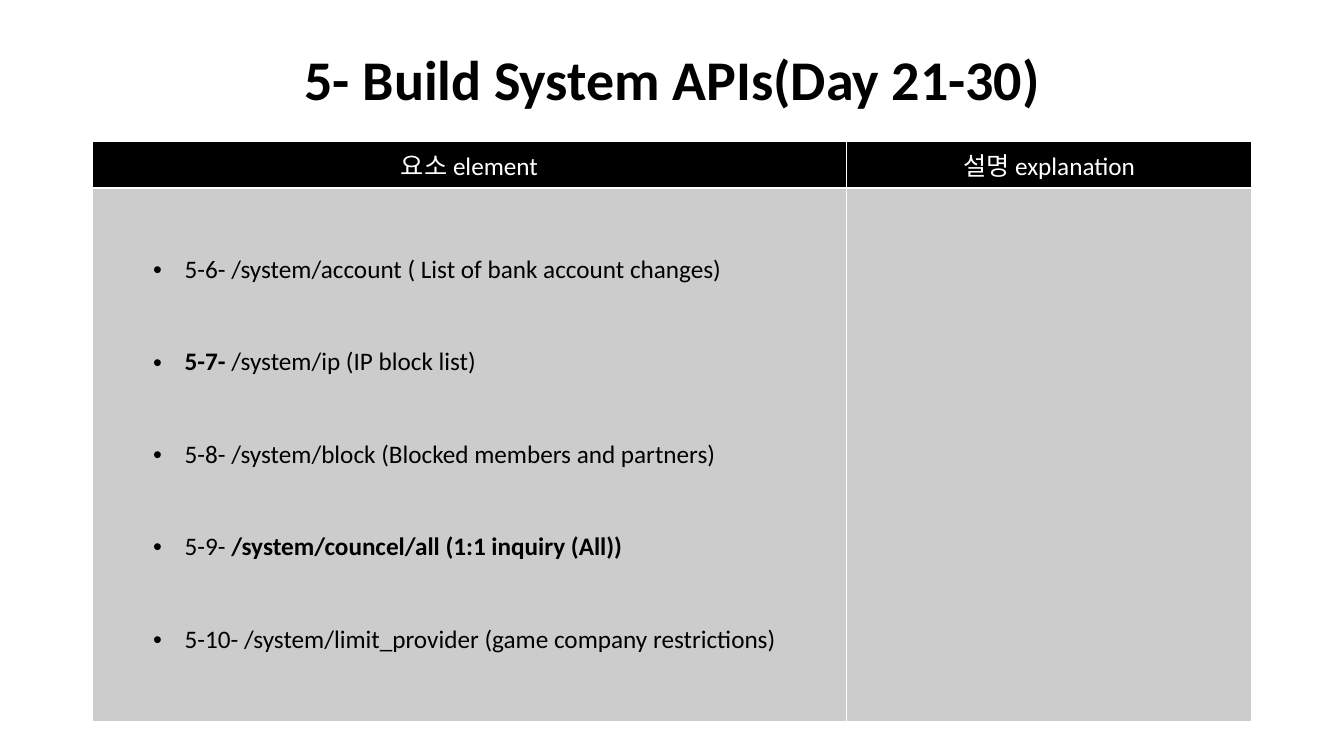
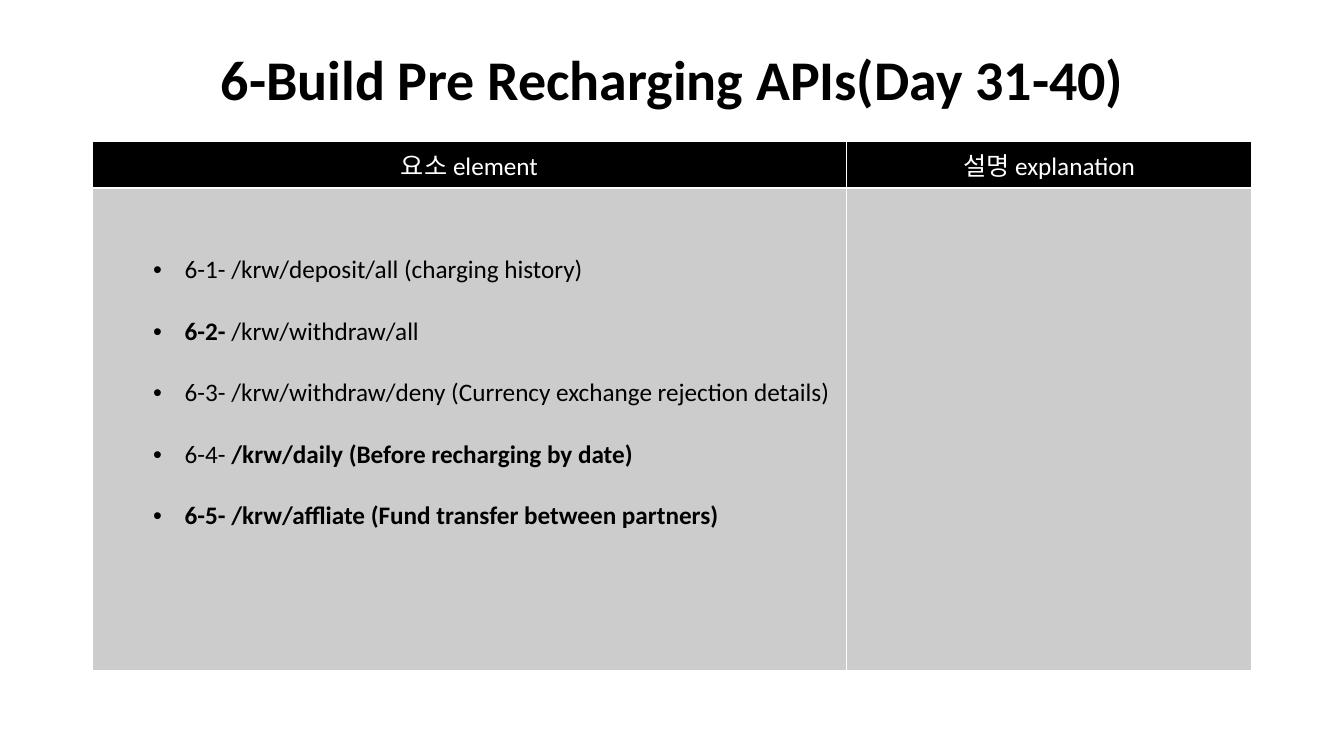
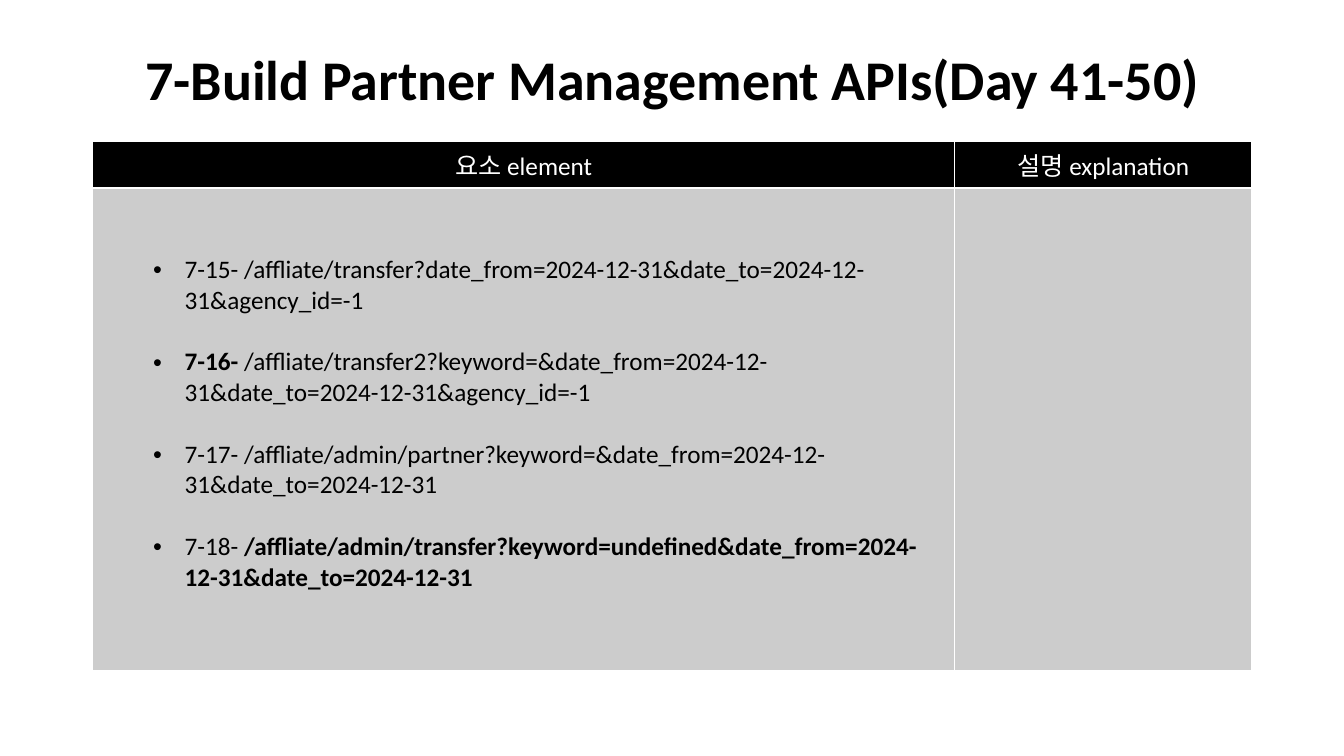
from lxml import etree
from pptx import Presentation
from pptx import util as u
from pptx.dml.color import RGBColor
from pptx.enum import text
from pptx.oxml import ns

BLACK = RGBColor(0x00, 0x00, 0x00)
WHITE = RGBColor(0xFF, 0xFF, 0xFF)
GREY = RGBColor(0xCC, 0xCC, 0xCC)
TITLE = {"name": "Calibri", "size": u.Pt(40), "bold": True}
BODY = {"name": "Calibri", "size": u.Pt(18), "bold": False}
STRONG = {**BODY, "bold": True}
TITLE_BOX = (66.25, 37, 828, 44)
TABLE_BOX = (66.25, 100.8, 828)
HEADS = ("요소 element", "설명 explanation")
HEAD_H = 33.5
LINE = 22

SLIDES = [
    {"title": "5- Build System APIs(Day 21-30)", "split": 0.65, "body_h": 381, "gap": 2 * LINE,
     "items": [
         [("5-6- /system/account ( List of bank account changes)", BODY)],
         [("5-7- ", STRONG), ("/system/ip (IP block list)", BODY)],
         [("5-8- /system/block (Blocked members and partners)", BODY)],
         [("5-9- ", BODY), ("/system/councel/all (1:1 inquiry (All))", STRONG)],
         [("5-10- /system/limit_provider (game company restrictions)", BODY)]]},
    {"title": "6-Build Pre Recharging APIs(Day 31-40)", "split": 0.65, "body_h": 344.5, "gap": LINE,
     "items": [
         [("6-1- /krw/deposit/all (charging history)", BODY)],
         [("6-2-", STRONG), (" /krw/withdraw/all", BODY)],
         [("6-3- /krw/withdraw/deny (Currency exchange rejection details)", BODY)],
         [("6-4- ", BODY), ("/krw/daily (Before recharging by date)", STRONG)],
         [("6-5- /krw/affliate (Fund transfer between partners)", STRONG)]]},
    {"title": "7-Build Partner Management APIs(Day 41-50)", "split": 0.7435, "body_h": 344.5, "gap": LINE,
     "items": [
         [("7-15- /affliate/transfer?date_from=2024-12-31&date_to=2024-12-31&agency_id=-1", BODY)],
         [("7-16-", STRONG),
          (" /affliate/transfer2?keyword=&date_from=2024-12-31&date_to=2024-12-31&agency_id=-1", BODY)],
         [("7-17- /affliate/admin/partner?keyword=&date_from=2024-12-31&date_to=2024-12-31", BODY)],
         [("7-18- ", BODY),
          ("/affliate/admin/transfer?keyword=undefined&date_from=2024-12-31&date_to=2024-12-31", STRONG)]]},
]


def set_all(obj, values):
    """Set every attribute in a dict of values."""
    for name, value in values.items():
        setattr(obj, name, value)


def add_run(p, words, fmt, color):
    """Add one formatted run to a paragraph."""
    r = p.add_run()
    r.text = words
    set_all(r.font, fmt)
    r.font.color.rgb = color


def add_bullet(p):
    """Give a paragraph a hanging round bullet."""
    pPr = p._p.get_or_add_pPr()
    pPr.set("marL", str(u.Pt(58.5)))
    pPr.set("indent", str(-u.Pt(22.5)))
    etree.SubElement(pPr, ns.qn("a:buFont"), typeface="Arial")
    etree.SubElement(pPr, ns.qn("a:buChar"), char="•")


def style_cell(cell, color):
    """Fill a cell and draw thin white borders round it."""
    cell.fill.solid()
    cell.fill.fore_color.rgb = color
    tcPr = cell._tc.get_or_add_tcPr()
    for i, side in enumerate(("lnL", "lnR", "lnT", "lnB")):
        ln = etree.Element(ns.qn("a:" + side), w=str(u.Pt(1)))
        fill = etree.SubElement(ln, ns.qn("a:solidFill"))
        etree.SubElement(fill, ns.qn("a:srgbClr"), val=str(WHITE))
        tcPr.insert(i, ln)


def add_title(s, box, words):
    """Place the centred slide title in its box."""
    tf = s.shapes.add_textbox(*map(u.Pt, box)).text_frame
    set_all(tf, {"word_wrap": True, "vertical_anchor": text.MSO_ANCHOR.TOP,
                 "margin_top": 0, "margin_bottom": 0})
    p = tf.paragraphs[0]
    set_all(p, {"alignment": text.PP_ALIGN.CENTER, "line_spacing": 0.9})
    add_run(p, words, TITLE, BLACK)


def add_api_table(s, box, split, body_h, gap, items):
    """Place the two-column table with its bulleted list of endpoints."""
    x, y, w = box
    tbl = s.shapes.add_table(2, 2, *map(u.Pt, (x, y, w, HEAD_H + body_h))).table
    for col, share in zip(tbl.columns, (split, 1 - split)):
        col.width = u.Pt(round(w * share, 2))
    for row, height, color in zip(tbl.rows, (HEAD_H, body_h), (BLACK, GREY)):
        row.height = u.Pt(height)
        for cell in row.cells:
            style_cell(cell, color)
    for cell, head in zip(tbl.rows[0].cells, HEADS):
        p = cell.text_frame.paragraphs[0]
        p.alignment = text.PP_ALIGN.CENTER
        add_run(p, head, BODY, WHITE)
    cell = tbl.cell(1, 0)
    cell.margin_top = u.Pt(3.6 + 2 * LINE)
    tf = cell.text_frame
    for i, runs in enumerate(items):
        p = tf.add_paragraph() if i else tf.paragraphs[0]
        p.space_before = u.Pt(gap if i else 0)
        add_bullet(p)
        for words, fmt in runs:
            add_run(p, words, fmt, BLACK)


def main():
    """Build and save the presentation."""
    prs = Presentation()
    set_all(prs, {"slide_width": u.Pt(960), "slide_height": u.Pt(540)})
    for data in SLIDES:
        s = prs.slides.add_slide(prs.slide_layouts[6])
        add_title(s, TITLE_BOX, data["title"])
        add_api_table(s, TABLE_BOX, data["split"], data["body_h"], data["gap"], data["items"])
    prs.save("out.pptx")


if __name__ == "__main__":
    main()
